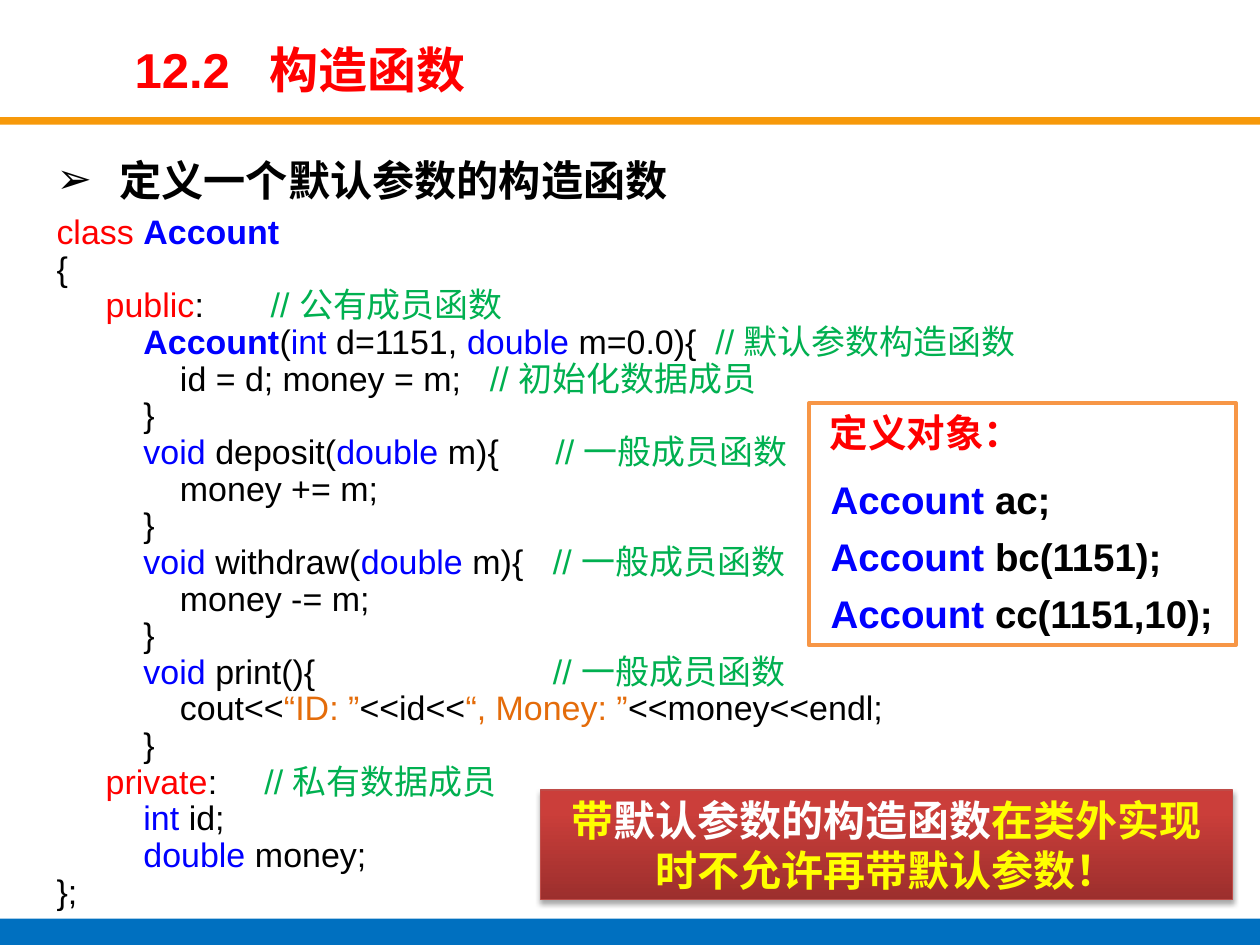
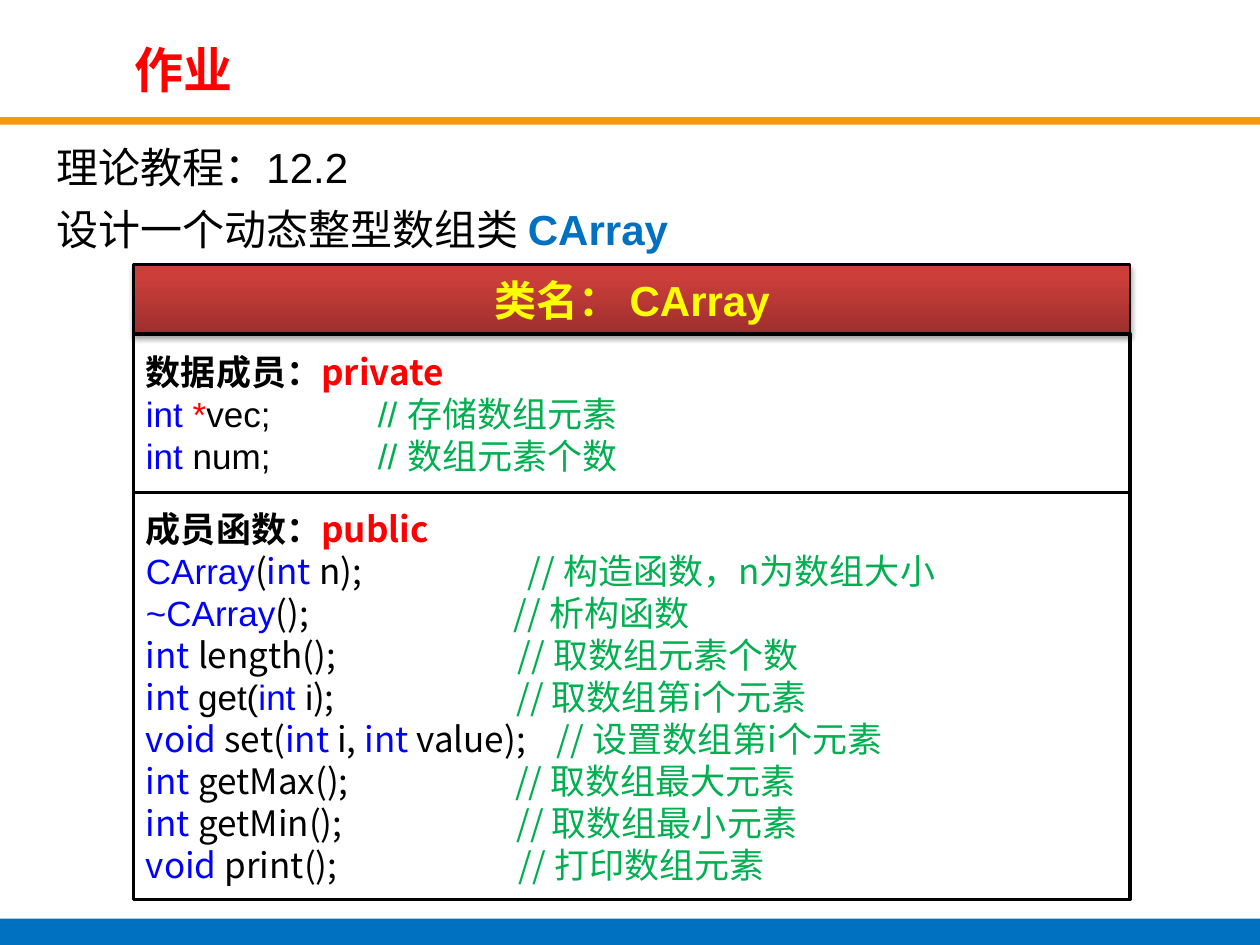
"""Builds two lecture slides about constructors and a class-design exercise."""
from lxml.etree import SubElement
from pptx import Presentation
from pptx.dml.color import RGBColor as Rgb
from pptx.enum.shapes import MSO_SHAPE as Shape
from pptx.enum.text import MSO_ANCHOR as Anchor, PP_ALIGN as Align
from pptx.oxml.ns import qn
from pptx.util import Inches, Pt

COLORS = {
    "white": "FFFFFF", "black": "000000", "red": "FF0000", "blue": "0000FF",
    "green": "00B050", "string": "E46C0A", "yellow": "FFFF00", "rule": "F7990A",
    "footer": "0070C0", "outline": "F79646", "banner_line": "BF4C48",
    "banner_dark": "9C2F2D", "banner_light": "CB3E3A",
}
LATIN, CJK = "Arial", "Noto Sans CJK SC"


def color(name):
    return Rgb.from_string(COLORS[name])


class Deck:
    def __init__(self):
        self.presentation = Presentation()
        self.presentation.slide_width = Inches(10)
        self.presentation.slide_height = Inches(7.5)
        self.slide = None

    def new_slide(self, title_runs, tabs=()):
        layout = self.presentation.slide_layouts[6]
        self.slide = self.presentation.slides.add_slide(layout)
        self.box(0, 0.93, 10, 0.06, fill="rule")
        self.box(0.81, 0.21, 7.03, 0.66, fill="white", preset=Shape.PARALLELOGRAM)
        self.box(0, 7.29, 10, 0.24, fill="footer")
        frame = self.text_box(0.97, 0.27, 6.86, 0.55, Anchor.MIDDLE)
        self.paragraph(frame, title_runs, 28, tabs=tabs)

    def box(self, left, top, width, height, fill=None, line=None, weight=1,
            preset=Shape.RECTANGLE):
        shape = self.slide.shapes.add_shape(
            preset, Inches(left), Inches(top), Inches(width), Inches(height))
        shape.shadow.inherit = False
        if fill:
            shape.fill.solid()
            shape.fill.fore_color.rgb = color(fill)
        else:
            shape.fill.background()
        if line:
            shape.line.color.rgb = color(line)
            shape.line.width = Pt(weight)
        else:
            shape.line.fill.background()
        shape.text_frame.word_wrap = True
        shape.text_frame.vertical_anchor = Anchor.MIDDLE
        return shape

    def banner(self, left, top, width, height, line, weight):
        shape = self.box(left, top, width, height, "banner_light", line, weight)
        shape.fill.gradient()
        shape.fill.gradient_angle = 90
        stops = zip(shape.fill.gradient_stops, ("banner_dark", "banner_light"), (0, 0.8))
        for stop, name, position in stops:
            stop.color.rgb = color(name)
            stop.position = position
        effects = shape.element.spPr.find(qn("a:effectLst"))
        shadow = SubElement(effects, qn("a:outerShdw"), blurRad=str(Pt(3.1)),
                            dist=str(Pt(1.8)), dir="5400000", rotWithShape="0")
        shade = SubElement(shadow, qn("a:srgbClr"), val=COLORS["black"])
        SubElement(shade, qn("a:alpha"), val="35000")
        return shape.text_frame

    def text_box(self, left, top, width, height, anchor=Anchor.TOP):
        shape = self.slide.shapes.add_textbox(
            Inches(left), Inches(top), Inches(width), Inches(height))
        shape.text_frame.word_wrap = True
        shape.text_frame.vertical_anchor = anchor
        return shape.text_frame

    def paragraph(self, frame, runs, size, align=Align.LEFT, spacing=None, after=0,
                  hanging=0, tabs=(), bullet=None, font=LATIN):
        paragraph = frame.paragraphs[-1]
        if paragraph.runs:
            paragraph = frame.add_paragraph()
        paragraph.alignment = align
        paragraph.space_after = Pt(after)
        if spacing:
            paragraph.line_spacing = Pt(spacing)
        properties = paragraph._p.get_or_add_pPr()
        if bullet:
            properties.set("marL", str(Inches(hanging)))
            properties.set("indent", str(Inches(-hanging)))
            SubElement(properties, qn("a:buFont"), typeface=LATIN)
            SubElement(properties, qn("a:buChar"), char=bullet)
        if tabs:
            tab_list = SubElement(properties, qn("a:tabLst"))
            for tab in tabs:
                SubElement(tab_list, qn("a:tab"), pos=str(Inches(tab)), algn="l")
        for text, name, *style in runs:
            run = paragraph.add_run()
            run.text = text
            run.font.size = Pt(size)
            run.font.color.rgb = color(name)
            run.font.bold = "bold" in style
            run.font.name = next((item for item in style if item != "bold"), font)
            SubElement(run.font._element, qn("a:ea"), typeface=CJK)

    def code(self, frame, lines, size, spacing, font=LATIN):
        for indent, runs, *comment in lines:
            tabs = []
            if indent:
                tabs.append(indent)
                runs = [("\t", "black")] + runs
            if comment:
                tab, text = comment
                tabs.append(tab)
                runs = runs + [("\t", "black"), ("// " + text, "green")]
            self.paragraph(frame, runs, size, spacing=spacing, tabs=tabs, font=font)


def constructor_slide(deck):
    deck.new_slide([("12.2\t构造函数", "red", "bold")], tabs=[1.07])
    body = deck.text_box(0.35, 1.14, 9.29, 6.1)
    deck.paragraph(body, [("定义一个默认参数的构造函数", "black", "bold")], 24.1,
                   spacing=31.3, after=5.7, hanging=0.5, bullet="➢")
    section, member, statement = 0.39, 0.69, 0.98
    closing = (member, [("}", "black")])
    deck.code(body, [
        (0, [("class ", "red"), ("Account", "blue", "bold")]),
        (0, [("{", "black")]),
        (section, [("public", "red"), (":", "black")], 1.7, "公有成员函数"),
        (member, [("Account", "blue", "bold"), ("(", "black"), ("int", "blue"),
                  (" d=1151, ", "black"), ("double", "blue"), (" m=0.0){", "black")],
         5.23, "默认参数构造函数"),
        (statement, [("id = d; money = m;", "black")], 3.44, "初始化数据成员"),
        closing,
        (member, [("void ", "blue"), ("deposit(", "black"), ("double", "blue"),
                  (" m){", "black")], 3.96, "一般成员函数"),
        (statement, [("money += m;", "black")]),
        closing,
        (member, [("void", "blue"), (" withdraw(", "black"), ("double", "blue"),
                  (" m){", "black")], 3.94, "一般成员函数"),
        (statement, [("money -= m;", "black")]),
        closing,
        (member, [("void ", "blue"), ("print(){", "black")], 3.94, "一般成员函数"),
        (statement, [("cout<<", "black"), ("“ID: ”", "string"), ("<<id<<", "black"),
                     ("“, Money: ”", "string"), ("<<money<<endl;", "black")]),
        closing,
        (section, [("private", "red"), (":", "black")], 1.65, "私有数据成员"),
        (member, [("int ", "blue"), ("id;", "black")]),
        (member, [("double", "blue"), (" money;", "black")]),
        (0, [("};", "black")]),
    ], 19.4, 20.95)

    objects = deck.box(6.42, 3.2, 3.39, 1.92, "white", "outline", 2.25).text_frame
    objects.vertical_anchor = Anchor.TOP
    deck.paragraph(objects, [(" 定义对象：", "red", "bold")], 22, spacing=26, after=12.3)
    for declaration in ("ac;", "bc(1151);", "cc(1151,10);"):
        deck.paragraph(objects, [(" Account ", "blue", "bold"),
                                 (declaration, "black", "bold")], 22, after=6)

    warning = deck.banner(4.29, 6.27, 5.49, 0.87, "banner_line", 0.75)
    deck.paragraph(warning, [("带", "yellow", "bold"),
                             ("默认参数的构造函数", "white", "bold"),
                             ("在类外实现时不允许再带默认参数！", "yellow", "bold")],
                   24, Align.CENTER, spacing=28.6)


def homework_slide(deck):
    deck.new_slide([("作业", "red", "bold")])
    body = deck.text_box(0.35, 0.99, 9.29, 1.08)
    for runs in ([("理论教程：12.2", "black")],
                 [("设计一个动态整型数组类 ", "black"), ("CArray", "footer", "bold")]):
        deck.paragraph(body, runs, 24, spacing=35)

    left, width = 1.06, 7.91
    header = deck.banner(left, 2.1, width, 0.55, "black", 1.5)
    deck.paragraph(header, [("类名： CArray", "yellow", "bold")], 24, Align.CENTER)

    data = [
        (0, [("int ", "blue"), ("*", "red"), ("vec;", "black")], 1.84, "存储数组元素"),
        (0, [("int ", "blue"), ("num;", "black")], 1.84, "数组元素个数"),
    ]
    functions = [
        (0, [("CArray", "blue", LATIN), ("(", "black"), ("int", "blue"),
             (" n);", "black")], 3.03, "构造函数，n为数组大小"),
        (0, [("~CArray", "blue", LATIN), ("();", "black")], 2.92, "析构函数"),
        (0, [("int", "blue"), (" length();", "black")], 2.95, "取数组元素个数"),
        (0, [("int ", "blue"), ("get(", "black", LATIN), ("int ", "blue", LATIN),
             ("i", "black", LATIN), (");", "black")], 2.94, "取数组第i个元素"),
        (0, [("void ", "blue"), ("set(", "black"), ("int ", "blue"), ("i, ", "black"),
             ("int", "blue"), (" value);", "black")], 3.26, "设置数组第i个元素"),
        (0, [("int ", "blue"), ("getMax();", "black")], 2.93, "取数组最大元素"),
        (0, [("int ", "blue"), ("getMin();", "black")], 2.94, "取数组最小元素"),
        (0, [("void", "blue"), (" print();", "black")], 2.96, "打印数组元素"),
    ]
    for top, height, heading, access, lines, font in (
            (2.65, 1.26, "数据成员：", "private", data, LATIN),
            (3.91, 3.23, "成员函数：", "public", functions, CJK)):
        frame = deck.box(left, top, width, height, line="black", weight=2).text_frame
        title = (0, [(heading, "black", "bold", CJK), (access, "red", "bold", CJK)])
        deck.code(frame, [title] + lines, 20, 24, font)


def main():
    deck = Deck()
    constructor_slide(deck)
    homework_slide(deck)
    deck.presentation.save("out.pptx")


if __name__ == "__main__":
    main()
